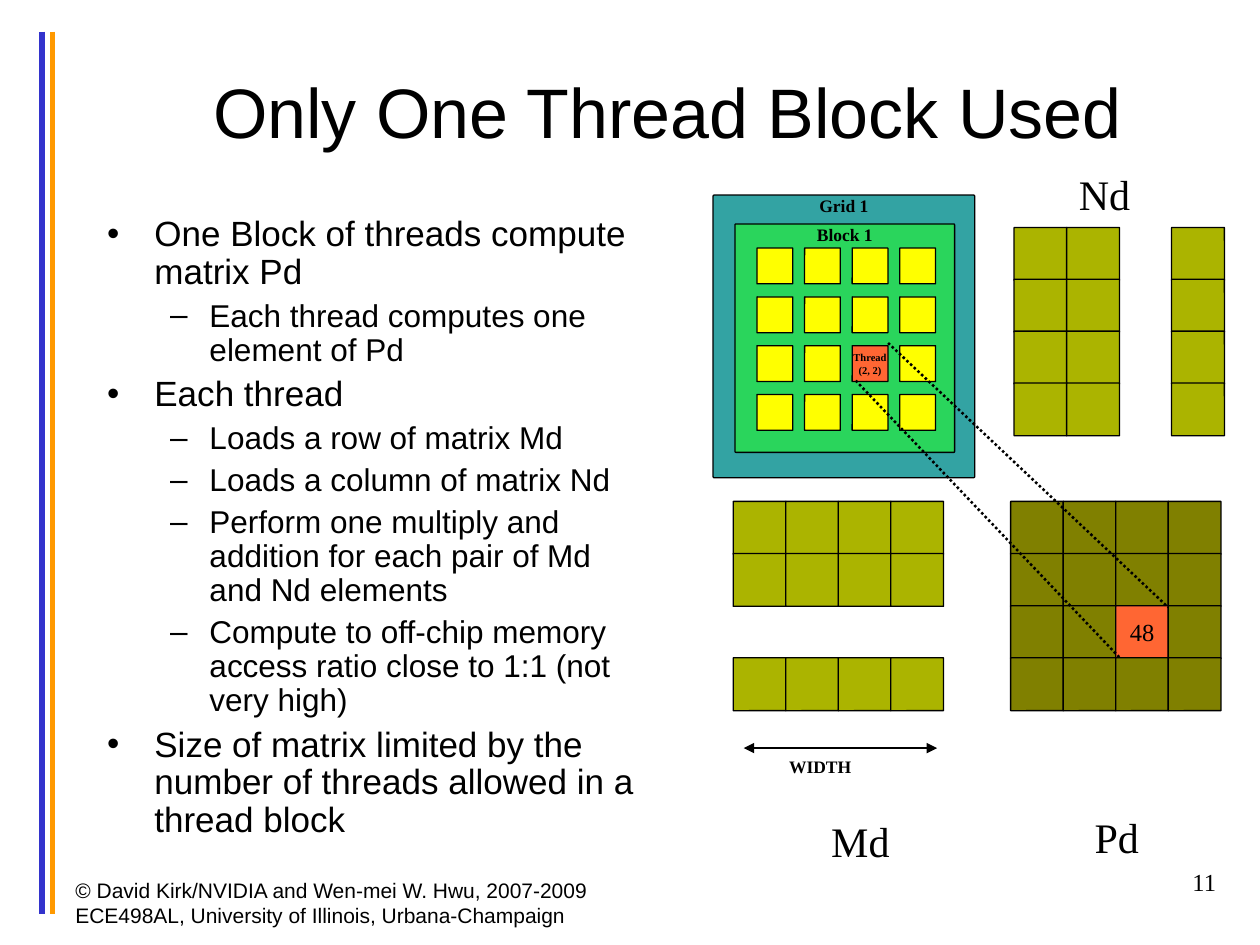
from lxml import etree
from pptx import Presentation
from pptx.dml.color import RGBColor
from pptx.enum import dml, shapes, text
from pptx.oxml import ns
from pptx.util import Pt

HUE = {"black": "000000", "blue": "3333CC", "gold": "FF9900", "teal": "33A3A3",
       "green": "23FF23", "lime": "ABB400", "olive": "808000", "yellow": "FFFF00",
       "coral": "FF6633"}
SANS, SERIF = "Arial", "Times New Roman"
LEFT, MID, RIGHT = text.PP_ALIGN.LEFT, text.PP_ALIGN.CENTER, text.PP_ALIGN.RIGHT

TITLE = "Only One Thread Block Used"
BODY = [
    (0, "One Block of threads compute matrix Pd"),
    (1, "Each thread computes one element of Pd"),
    (0, "Each thread"),
    (1, "Loads a row of matrix Md"),
    (1, "Loads a column of matrix Nd"),
    (1, "Perform one multiply and addition for each pair of Md and Nd elements"),
    (1, "Compute to off-chip memory access ratio close to 1:1 (not very high)"),
    (0, "Size of matrix limited by the number of threads allowed in a thread block"),
]
# level: bullet, size, margin, hang, space before
LEVELS = [("•", 20, 27, 27, 5), ("–", 18, 58.5, 22.5, 4.5)]

FOOT = ["© David Kirk/NVIDIA and Wen-mei W. Hwu, 2007-2009",
        "ECE498AL, University of Illinois, Urbana-Champaign"]
# lines, box, size, font, bold, align, inset
LABELS = [
    (FOOT, (36, 498, 360, 36), 12, SANS, False, LEFT, (7.2, 3.6)),
    (["11"], (552, 492, 150, 36), 14, SERIF, False, RIGHT, (7.2, 3.6)),
    (["WIDTH"], (451, 432, 83, 12), 10, SERIF, True, LEFT, (0, 0)),
    (["Md"], (475, 466, 53, 29), 24, SERIF, False, LEFT, (0, 0)),
    (["Pd"], (625.5, 463.5, 58, 29), 24, SERIF, False, LEFT, (0, 0)),
    (["Nd"], (616.5, 96, 46, 29), 24, SERIF, False, LEFT, (0, 0)),
]
FRAMES = [("Grid 1", (407.5, 111.5, 149.5, 161.5), "teal", None),
          ("Block 1", (420, 128, 125.5, 130.5), "green", 55)]
ALL = range(4)
# origin, pitch, side, columns, rows, colour, marked cell, its lines, size, bold
GRIDS = [
    ((419, 286.5), (30, 29.8), 30.2, ALL, (0, 1, 3), "lime", None, [], 0, False),
    ((579.5, 130), (30, 29.6), 30.2, (0, 1, 3), ALL, "lime", None, [], 0, False),
    ((577.5, 286.5), (30, 29.8), 30.2, ALL, ALL, "olive", (2, 2), ["48"], 14, False),
    ((432.6, 141.8), (27.2, 27.9), 20.4, ALL, ALL, "yellow", (2, 2),
     ["Thread", "(2, 2)"], 6, True),
]
RAILS = [(24, "blue"), (30, "gold")]
RAYS = [(489, 217.5, 640, 376), (507.5, 196, 667.5, 347)]
SPAN = (425, 427.5, 535.5, 427.5)


def rgb(name):
    return RGBColor.from_string(HUE[name])


def sub(node, tag, **attrs):
    return etree.SubElement(node, ns.qn(tag), attrs)


def write(para, line, size, font, bold=False):
    run = para.add_run()
    run.text = line
    run.font.size, run.font.name, run.font.bold = Pt(size), font, bold
    run.font.color.rgb = rgb("black")


def fill_text(frame, lines, size, font, bold, align, inset=(0, 0), anchor="TOP"):
    frame.word_wrap = True
    frame.margin_left = frame.margin_right = Pt(inset[0])
    frame.margin_top = frame.margin_bottom = Pt(inset[1])
    frame.vertical_anchor = text.MSO_ANCHOR[anchor]
    for i, line in enumerate(lines):
        para = frame.add_paragraph() if i else frame.paragraphs[0]
        para.alignment = align
        write(para, line, size, font, bold)


def place(shape, box):
    shape.left, shape.top, shape.width, shape.height = map(Pt, box)


def add_box(slide, box, color, alpha=None):
    shape = slide.shapes.add_shape(shapes.MSO_SHAPE.ROUNDED_RECTANGLE, *map(Pt, box))
    shape.adjustments[0] = 0.004
    shape.shadow.inherit = False
    shape.fill.solid()
    shape.fill.fore_color.rgb = rgb(color)
    shape.line.color.rgb = rgb("black")
    shape.line.width = Pt(0.75)
    if alpha:
        tint = shape._element.spPr.find(ns.qn("a:solidFill"))[0]
        sub(tint, "a:alpha", val=str(alpha * 1000))
    return shape


def add_line(slide, ends, color, width):
    line = slide.shapes.add_connector(shapes.MSO_CONNECTOR.STRAIGHT, *map(Pt, ends))
    line.line.color.rgb = rgb(color)
    line.line.width = Pt(width)
    sub(line._element.spPr, "a:effectLst")
    return line


def add_list(body):
    frame = body.text_frame
    frame.auto_size = text.MSO_AUTO_SIZE.NONE
    for i, (level, line) in enumerate(BODY):
        mark, size, margin, hang, gap = LEVELS[level]
        para = frame.add_paragraph() if i else frame.paragraphs[0]
        para.level = level
        props = para._p.get_or_add_pPr()
        props.set("marL", str(Pt(margin)))
        props.set("indent", str(-Pt(hang)))
        sub(props, "a:buChar", char=mark)
        para.line_spacing = 0.9
        para.space_before = Pt(gap if i else 0)
        write(para, line, size, SANS)


def add_grid(slide, start, pitch, side, cols, rows, color, mark, lines, size, bold):
    for row in rows:
        for col in cols:
            hit = (col, row) == mark
            box = (start[0] + col * pitch[0], start[1] + row * pitch[1], side, side)
            cell = add_box(slide, box, "coral" if hit else color)
            if hit:
                fill_text(cell.text_frame, lines, size, SERIF, bold, MID, anchor="MIDDLE")


def main():
    """Build the thread block slide."""
    deck = Presentation()
    deck.slide_width, deck.slide_height = Pt(720), Pt(540)
    slide = deck.slides.add_slide(deck.slide_layouts[1])
    title, body = slide.placeholders
    place(title, (54, 39, 654.5, 48))
    title.text_frame.auto_size = text.MSO_AUTO_SIZE.NONE
    fill_text(title.text_frame, [TITLE], 40, SANS, False, MID, anchor="MIDDLE")
    place(body, (54, 120, 321, 390))
    add_list(body)

    for x, color in RAILS:
        add_line(slide, (x, 18, x, 522), color, 3)
    for name, box, color, alpha in FRAMES:
        frame = add_box(slide, box, color, alpha)
        fill_text(frame.text_frame, [name], 10, SERIF, True, MID)
    for grid in GRIDS:
        add_grid(slide, *grid)
    for ray in RAYS:
        add_line(slide, ray, "black", 1.45).line.dash_style = dml.MSO_LINE.ROUND_DOT
    span = add_line(slide, SPAN, "black", 0.75)
    for tag in ("a:headEnd", "a:tailEnd"):
        sub(span.line._get_or_add_ln(), tag, type="triangle")
    for lines, box, *style in LABELS:
        label = slide.shapes.add_textbox(*map(Pt, box))
        fill_text(label.text_frame, lines, *style)
    deck.save("out.pptx")


if __name__ == "__main__":
    main()
